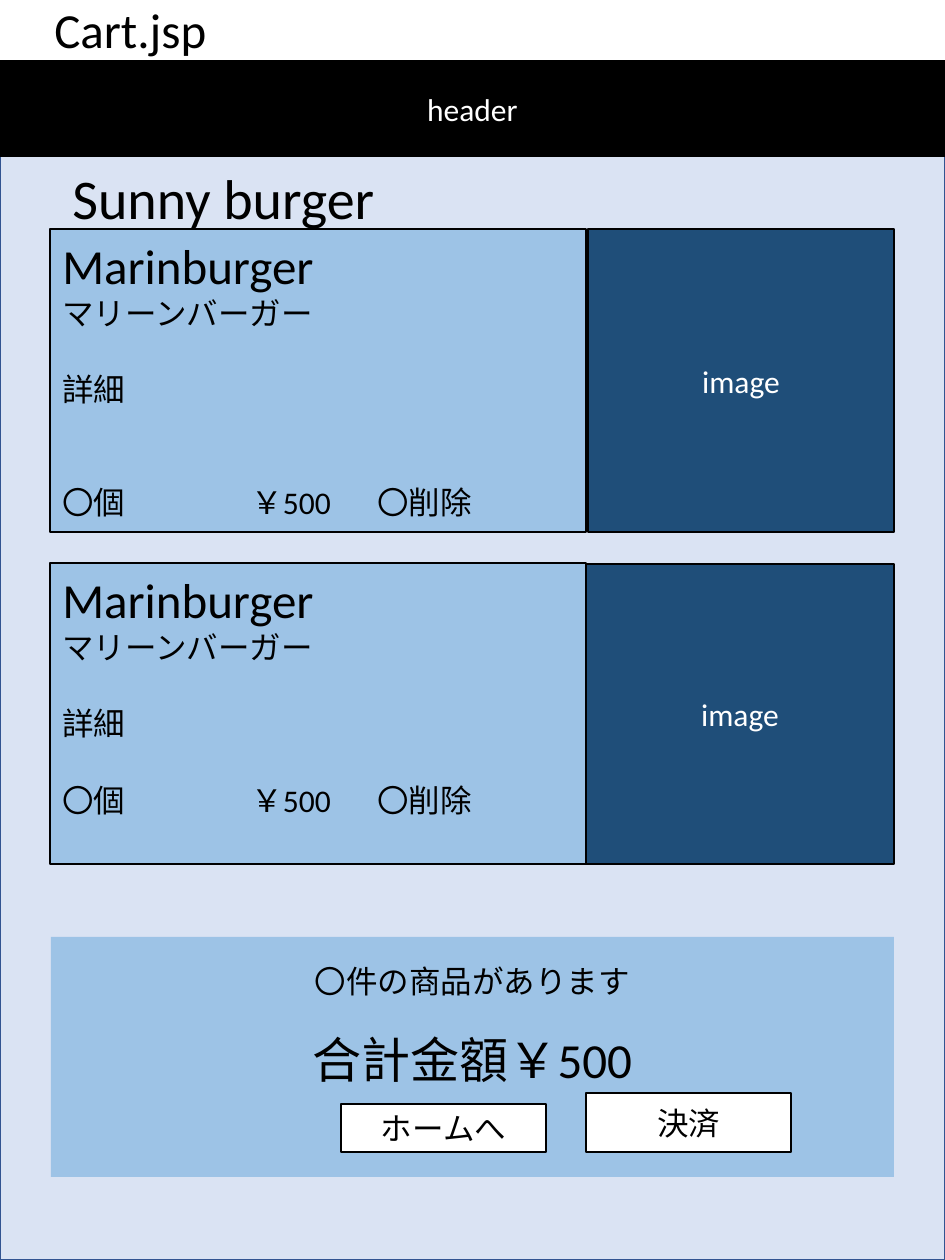
from dataclasses import dataclass
from typing import Optional

from lxml.etree import SubElement
from pptx import Presentation
from pptx.dml.color import RGBColor
from pptx.enum.shapes import MSO_SHAPE
from pptx.enum.text import MSO_ANCHOR, PP_ALIGN
from pptx.oxml.ns import qn
from pptx.util import Emu, Pt

PX_PER_INCH = 126
EMU_PER_PX = 914400 / PX_PER_INCH


@dataclass(frozen=True)
class Theme:
    font: str = "Calibri"
    black: str = "000000"
    white: str = "FFFFFF"
    panel: str = "DAE3F3"
    panel_line: str = "325491"
    card: str = "9DC3E6"
    photo: str = "1F4E79"
    body: int = 18
    heading: int = 28
    title: int = 32


THEME = Theme()


@dataclass(frozen=True)
class Line:
    text: str
    size: int = THEME.body
    color: str = THEME.black
    align: PP_ALIGN = PP_ALIGN.LEFT
    before: int = 0
    spacing: Optional[float] = None
    tabs: tuple[int, ...] = ()


@dataclass(frozen=True)
class Box:
    left: int
    top: int
    width: int
    height: int
    fill: Optional[str] = None
    border: Optional[str] = None
    border_width: float = 1
    anchor: MSO_ANCHOR = MSO_ANCHOR.TOP
    lines: tuple[Line, ...] = ()


def px(length: int) -> Emu:
    return Emu(round(length * EMU_PER_PX))


def set_values(target, values: dict) -> None:
    for name, value in values.items():
        setattr(target, name, value)


def write_line(para, line: Line) -> None:
    if line.tabs:
        tab_list = SubElement(para._p.get_or_add_pPr(), qn("a:tabLst"))
        for stop in line.tabs:
            SubElement(tab_list, qn("a:tab"), pos=str(px(stop)), algn="l")
    set_values(para, {"alignment": line.align, "line_spacing": line.spacing})
    if line.before:
        para.space_before = Pt(line.before)
    span = para.add_run()
    span.text = line.text
    set_values(span.font, {"name": THEME.font, "size": Pt(line.size)})
    span.font.color.rgb = RGBColor.from_string(line.color)


def draw_box(page, box: Box) -> None:
    """Draw a filled rectangle, or a plain text box when there is no fill."""
    place = [px(n) for n in (box.left, box.top, box.width, box.height)]
    if box.fill:
        shape = page.shapes.add_shape(MSO_SHAPE.RECTANGLE, *place)
        shape.shadow.inherit = False
        shape.fill.solid()
        shape.fill.fore_color.rgb = RGBColor.from_string(box.fill)
        if box.border:
            shape.line.color.rgb = RGBColor.from_string(box.border)
            shape.line.width = Pt(box.border_width)
        else:
            shape.line.fill.background()
    else:
        shape = page.shapes.add_textbox(*place)
    frame = shape.text_frame
    set_values(frame, {"word_wrap": True, "vertical_anchor": box.anchor})
    for index, line in enumerate(box.lines):
        write_line(frame.add_paragraph() if index else frame.paragraphs[0], line)


def label_box(left: int, top: int, width: int, height: int,
              fill: str, text: str, color: str) -> Box:
    """Bordered rectangle with one line in its middle."""
    return Box(left, top, width, height, fill, THEME.black, anchor=MSO_ANCHOR.MIDDLE,
               lines=(Line(text, color=color, align=PP_ALIGN.CENTER),))


def item_card(top: int, height: int, gap_above_price: int) -> Box:
    return Box(50, top, 536, height, THEME.card, THEME.black, 0.75, lines=(
        Line("Marinburger", THEME.heading),
        Line("マリーンバーガー"),
        Line("詳細", before=22),
        Line("〇個\t￥500\t〇削除", before=gap_above_price, tabs=(189, 315)),
    ))


def photo_box(left: int, top: int, width: int, height: int) -> Box:
    return label_box(left, top, width, height, THEME.photo, "image", THEME.white)


def button(left: int, top: int, height: int, text: str) -> Box:
    return label_box(left, top, 205, height, THEME.white, text, THEME.black)


def summary_line(text: str, size: int) -> Line:
    return Line(text, size, align=PP_ALIGN.CENTER, spacing=1.5)


BOXES = (
    Box(0, 92, 945, 1168, THEME.panel, THEME.panel_line),
    Box(60, 157, 833, 81, lines=(Line("Sunny burger", THEME.title),)),
    photo_box(588, 229, 306, 303),
    item_card(563, 301, gap_above_price=22),
    photo_box(586, 564, 308, 300),
    Box(51, 937, 843, 240, THEME.card, lines=(
        summary_line("〇件の商品があります", THEME.body),
        summary_line("合計金額￥500", THEME.heading),
    )),
    label_box(0, 61, 945, 95, THEME.black, "header", THEME.white),
    Box(42, -7, 544, 72, lines=(Line("Cart.jsp", THEME.heading),)),
    button(341, 1104, 48, "ホームへ"),
    button(586, 1093, 59, "決済"),
    item_card(229, 303, gap_above_price=43),
)


def main() -> None:
    deck = Presentation()
    set_values(deck, {"slide_width": px(945), "slide_height": px(1260)})
    page = deck.slides.add_slide(deck.slide_layouts[6])
    for box in BOXES:
        draw_box(page, box)
    deck.save("out.pptx")


if __name__ == "__main__":
    main()
